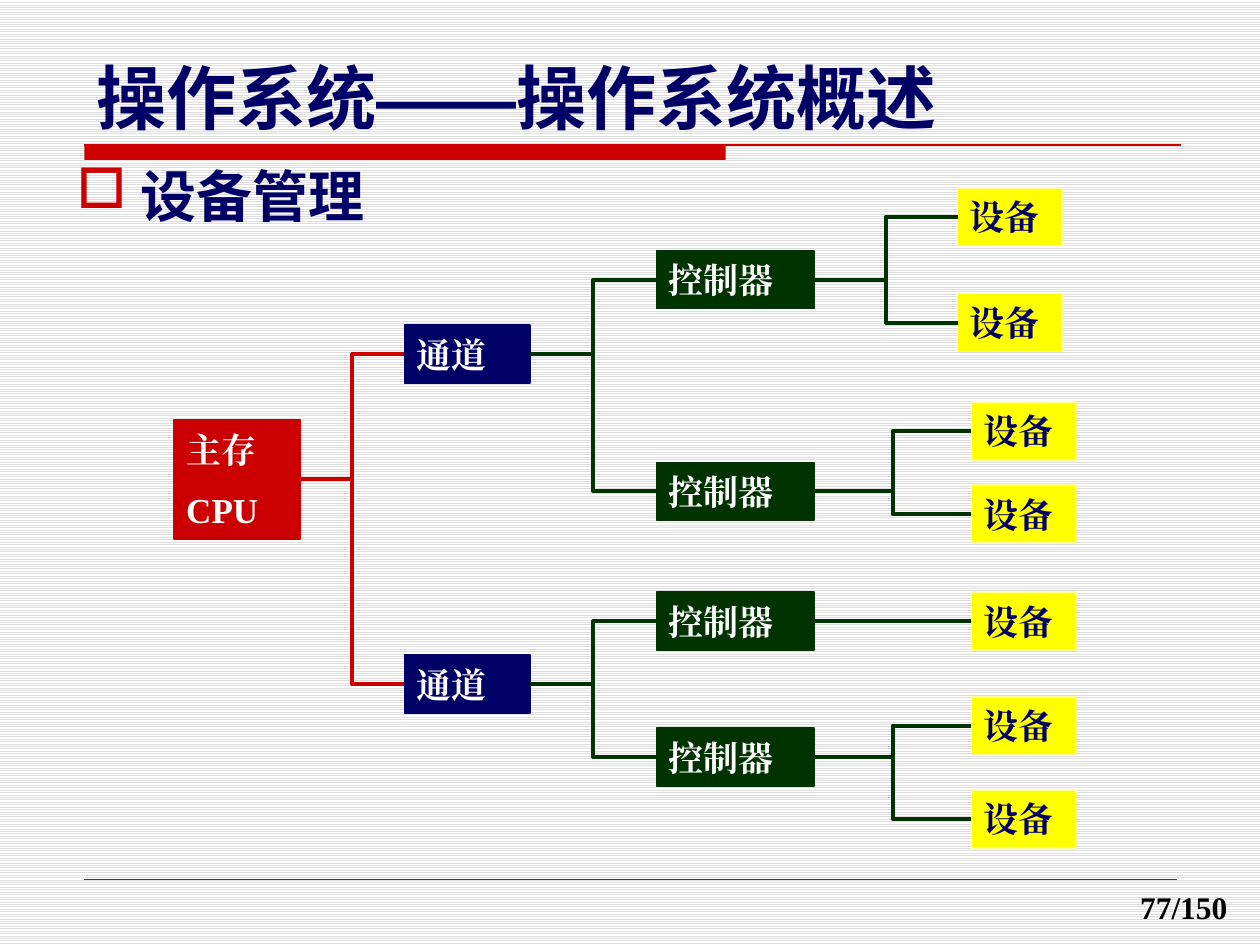
from dataclasses import dataclass

from lxml.etree import SubElement
from pptx import Presentation
from pptx.dml.color import RGBColor as RGB
from pptx.enum.dml import MSO_PATTERN as Pattern
from pptx.enum.shapes import MSO_CONNECTOR as Link, MSO_SHAPE as Shape
from pptx.enum.text import MSO_ANCHOR as Anchor, PP_ALIGN as Align
from pptx.oxml.ns import qn
from pptx.util import Inches, Pt


@dataclass(frozen=True)
class Theme:
    red: str = "CC0000"
    navy: str = "000066"
    green: str = "003300"
    yellow: str = "FFFF00"
    pale: str = "FFFF99"
    white: str = "FFFFFF"
    black: str = "000000"
    stripe: str = "DDDDDD"
    title_size: int = 40
    topic_size: int = 32
    box_size: int = 20
    page_size: int = 18
    heading_font: str = "DejaVu Sans"
    dash_font: str = "Arial"
    body_font: str = "Times New Roman"


class SlideBuilder:
    RIGHT, LEFT = 3, 1

    def __init__(self, slide, theme):
        self.slide, self.theme = slide, theme

    def background(self):
        fill = self.slide.background.fill
        fill.patterned()
        fill.pattern = Pattern.LIGHT_HORIZONTAL
        fill.fore_color.rgb = RGB.from_string(self.theme.stripe)
        fill.back_color.rgb = RGB.from_string(self.theme.white)

    def run(self, paragraph, text, size, color, font):
        run = paragraph.add_run()
        run.text = text
        run.font.size, run.font.bold, run.font.name = Pt(size), True, font
        run.font.color.rgb = RGB.from_string(color)
        SubElement(run.font._element, qn("a:ea")).set("typeface", font)

    def text(self, left, top, width, height, runs, size, color, wrap=False):
        box = self.slide.shapes.add_textbox(
            Inches(left), Inches(top), Inches(width), Inches(height))
        box.text_frame.word_wrap = wrap
        paragraph = box.text_frame.paragraphs[0]
        for words, font in runs:
            self.run(paragraph, words, size, color, font)
        return paragraph

    def bullet(self, paragraph, mark, indent):
        props = paragraph._p.get_or_add_pPr()
        props.set("marL", str(Inches(indent)))
        props.set("indent", str(-Inches(indent)))
        color = SubElement(props, qn("a:buClr"))
        SubElement(color, qn("a:srgbClr")).set("val", self.theme.red)
        SubElement(props, qn("a:buChar")).set("char", mark)

    def box(self, left, top, width, height, lines, fill, edge, color):
        box = self.slide.shapes.add_shape(
            Shape.RECTANGLE, Inches(left), Inches(top), Inches(width), Inches(height))
        box.shadow.inherit = False
        box.fill.solid()
        box.fill.fore_color.rgb = RGB.from_string(fill)
        box.line.color.rgb = RGB.from_string(edge)
        box.line.width = Pt(1)
        frame = box.text_frame
        frame.vertical_anchor = Anchor.MIDDLE
        for number, words in enumerate(lines):
            paragraph = frame.add_paragraph() if number else frame.paragraphs[0]
            paragraph.alignment = Align.LEFT
            if number:
                paragraph.space_before = Pt(self.theme.box_size / 2)
            self.run(paragraph, words, self.theme.box_size, color, self.theme.body_font)
        return box

    def line(self, start, end, color, width, kind=Link.STRAIGHT):
        line = self.slide.shapes.add_connector(kind, *start, *end)
        line.line.color.rgb = RGB.from_string(color)
        line.line.width = Pt(width)
        SubElement(line._element.spPr, qn("a:effectLst"))
        return line

    def branch(self, parent, child, color):
        start = parent.left + parent.width, parent.top + parent.height // 2
        end = child.left, child.top + child.height // 2
        kind = Link.STRAIGHT if start[1] == end[1] else Link.ELBOW
        line = self.line(start, end, color, 2.25, kind)
        line.begin_connect(parent, self.RIGHT)
        line.end_connect(child, self.LEFT)


def main():
    theme = Theme()
    deck = Presentation()
    deck.slide_width, deck.slide_height = Inches(10), Inches(7.5)
    page = SlideBuilder(deck.slides.add_slide(deck.slide_layouts[6]), theme)

    # Background, title rule and footer rule
    page.background()
    page.box(0.67, 1.15, 5.09, 0.12, [], theme.red, theme.red, theme.white).line.fill.background()
    for right, y, width in [(9.37, 1.15, 0.75), (9.34, 6.98, 0.25)]:
        page.line((Inches(0.67), Inches(y)), (Inches(right), Inches(y)), theme.red, width)

    # Title, page number and topic
    title = [("操作系统", theme.heading_font), ("——", theme.dash_font),
             ("操作系统概述", theme.heading_font)]
    page.text(0.67, 0.38, 6.89, 0.77, title, theme.title_size, theme.navy)
    page.text(8.95, 7, 0.94, 0.41, [("77/150", theme.body_font)], theme.page_size, theme.black)
    topic = page.text(0.51, 1.23, 8.75, 5.59, [("设备管理", theme.heading_font)],
                      theme.topic_size, theme.navy, wrap=True)
    page.bullet(topic, "□", 0.51)

    # Boxes, level by level
    height = 0.46
    host = page.box(1.38, 3.33, 1, 0.95, ["主存", "CPU"], theme.red, theme.red, theme.white)
    channels = [page.box(3.21, top, 1, height, ["通道"], theme.navy, theme.navy, theme.white)
                for top in (2.58, 5.2)]
    controllers = [page.box(5.21, top, 1.25, height, ["控制器"],
                            theme.green, theme.green, theme.white)
                   for top in (1.99, 3.67, 4.7, 5.78)]
    device_spots = [(7.6, 1.49), (7.6, 2.33), (7.71, 3.19), (7.71, 3.85),
                    (7.71, 4.7), (7.71, 5.53), (7.71, 6.27)]
    devices = [page.box(left, top, 0.83, height, ["设备"], theme.yellow, theme.pale, theme.navy)
               for left, top in device_spots]

    # Branches from each parent to its children
    families = [
        (host, channels, theme.red),
        (channels[0], controllers[:2], theme.green),
        (channels[1], controllers[2:], theme.green),
        (controllers[0], devices[:2], theme.green),
        (controllers[1], devices[2:4], theme.green),
        (controllers[2], devices[4:5], theme.green),
        (controllers[3], devices[5:], theme.green),
    ]
    for parent, children, color in families:
        for child in children:
            page.branch(parent, child, color)

    deck.save("out.pptx")


if __name__ == "__main__":
    main()
